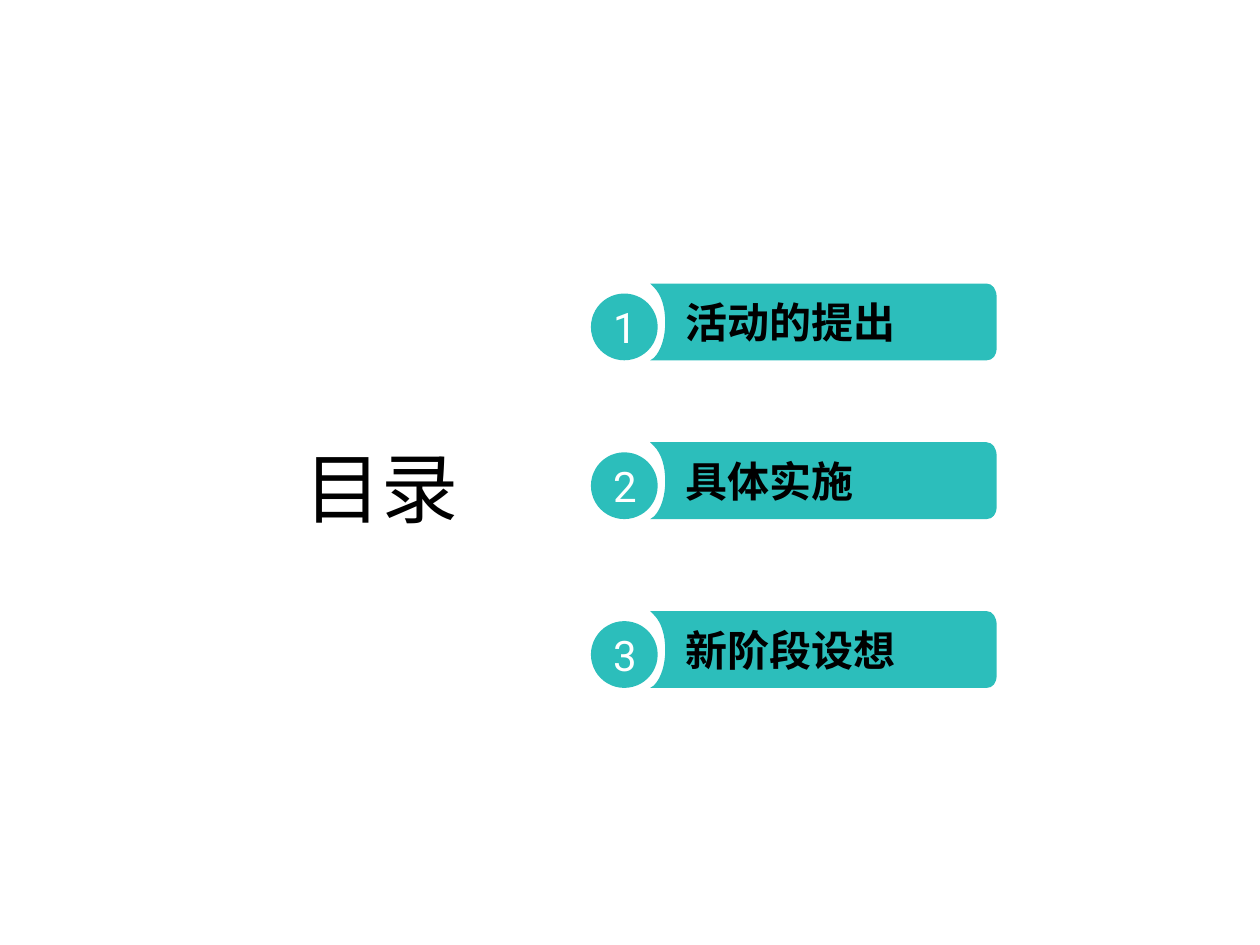
import lxml.etree
import pptx
import pptx.dml.color
import pptx.enum.shapes
import pptx.enum.text
import pptx.oxml.ns
import pptx.util

Inches = pptx.util.Inches
ALIGN = pptx.enum.text.PP_ALIGN
qn = pptx.oxml.ns.qn

COLORS = {"teal": "2CBEBB", "black": "000000", "white": "FFFFFF"}
LATIN, CJK = "Roboto", "Noto Sans CJK SC"
ITEMS = [("活动的提出", 2.25), ("具体实施", 3.51), ("新阶段设想", 4.85)]

BAR_LEFT, BAR_HEIGHT = 5.16, 0.61
CIRCLE_LEFT, CIRCLE_SIZE = 4.69, 0.53
# Bar outline relative to its top left corner: a point, or a curve's
# two control points and end
BAR_OUTLINE = [
    [(2.67, 0)],
    [(2.72, 0), (2.75, 0.05), (2.75, 0.11)],
    [(2.75, 0.51)],
    [(2.75, 0.57), (2.72, 0.61), (2.67, 0.61)],
    [(0, 0.61)],
    [(0.03, 0.59)],
    [(0.09, 0.53), (0.12, 0.42), (0.12, 0.31)],
    [(0.12, 0.19), (0.09, 0.09), (0.03, 0.03)],
    [(0, 0)],
]


def set_text(sp, text, size, color, font, align, margins=(0.1, 0.05, 0.1, 0.05), bold=False):
    tf = sp.text_frame
    left, top, right, bottom = (Inches(m) for m in margins)
    frame_format = {
        "word_wrap": True,
        "auto_size": pptx.enum.text.MSO_AUTO_SIZE.NONE,
        "vertical_anchor": pptx.enum.text.MSO_ANCHOR.MIDDLE,
        "margin_left": left, "margin_top": top,
        "margin_right": right, "margin_bottom": bottom,
    }
    for name, value in frame_format.items():
        setattr(tf, name, value)
    p = tf.paragraphs[0]
    p.alignment = align
    r = p.add_run()
    r.text = text
    for name, value in {"name": font, "size": pptx.util.Pt(size), "bold": bold}.items():
        setattr(r.font, name, value)
    r.font.color.rgb = pptx.dml.color.RGBColor.from_string(COLORS[color])
    # East Asian typeface
    ea = lxml.etree.SubElement(r.font._element, qn("a:ea"))
    ea.set("typeface", font)


def paint(sp):
    sp.shadow.inherit = False
    sp.fill.solid()
    sp.fill.fore_color.rgb = pptx.dml.color.RGBColor.from_string(COLORS["teal"])
    sp.line.fill.background()


def add_title(s, text):
    sp = s.shapes.title
    box = {"left": 2.32, "top": 3.28, "width": 1.65, "height": 1.16}
    for name, value in box.items():
        setattr(sp, name, Inches(value))
    set_text(sp, text, 44, "black", LATIN, ALIGN.LEFT)


def add_circle(group, number, top):
    sp = group.shapes.add_shape(
        pptx.enum.shapes.MSO_SHAPE.OVAL, Inches(CIRCLE_LEFT), Inches(top),
        Inches(CIRCLE_SIZE), Inches(CIRCLE_SIZE))
    paint(sp)
    set_text(sp, str(number), 24, "white", LATIN, ALIGN.CENTER)


def round_corners(sp):
    """Turn the straight segments into curves where the outline has control points."""
    segments = list(sp._element.iter(qn("a:lnTo")))
    for segment, step in zip(segments, BAR_OUTLINE):
        if len(step) == 1:
            continue
        bezier = lxml.etree.Element(qn("a:cubicBezTo"))
        for x, y in step:
            pt = lxml.etree.SubElement(bezier, qn("a:pt"))
            pt.set("x", str(Inches(x)))
            pt.set("y", str(Inches(y)))
        segment.getparent().replace(segment, bezier)


def add_bar(group, text, top):
    builder = group.shapes.build_freeform(Inches(BAR_LEFT), Inches(top))
    ends = [step[-1] for step in BAR_OUTLINE]
    builder.add_line_segments(
        [(Inches(BAR_LEFT + x), Inches(top + y)) for x, y in ends], close=True)
    sp = builder.convert_to_shape()
    round_corners(sp)
    paint(sp)
    set_text(sp, text, 24, "black", CJK, ALIGN.LEFT, (0.28, 0.04, 0.04, 0.04), True)


def add_item(s, number, text, top):
    group = s.shapes.add_group_shape()
    add_bar(group, text, top)
    # The circle stands on the bar's bottom edge
    add_circle(group, number, top + BAR_HEIGHT - CIRCLE_SIZE)


def main():
    prs = pptx.Presentation()
    prs.slide_width, prs.slide_height = Inches(10), Inches(7.5)
    s = prs.slides.add_slide(prs.slide_layouts[5])

    # Heading
    add_title(s, "目录")

    # Numbered contents
    for number, (text, top) in enumerate(ITEMS, 1):
        add_item(s, number, text, top)

    prs.save("out.pptx")


if __name__ == "__main__":
    main()
